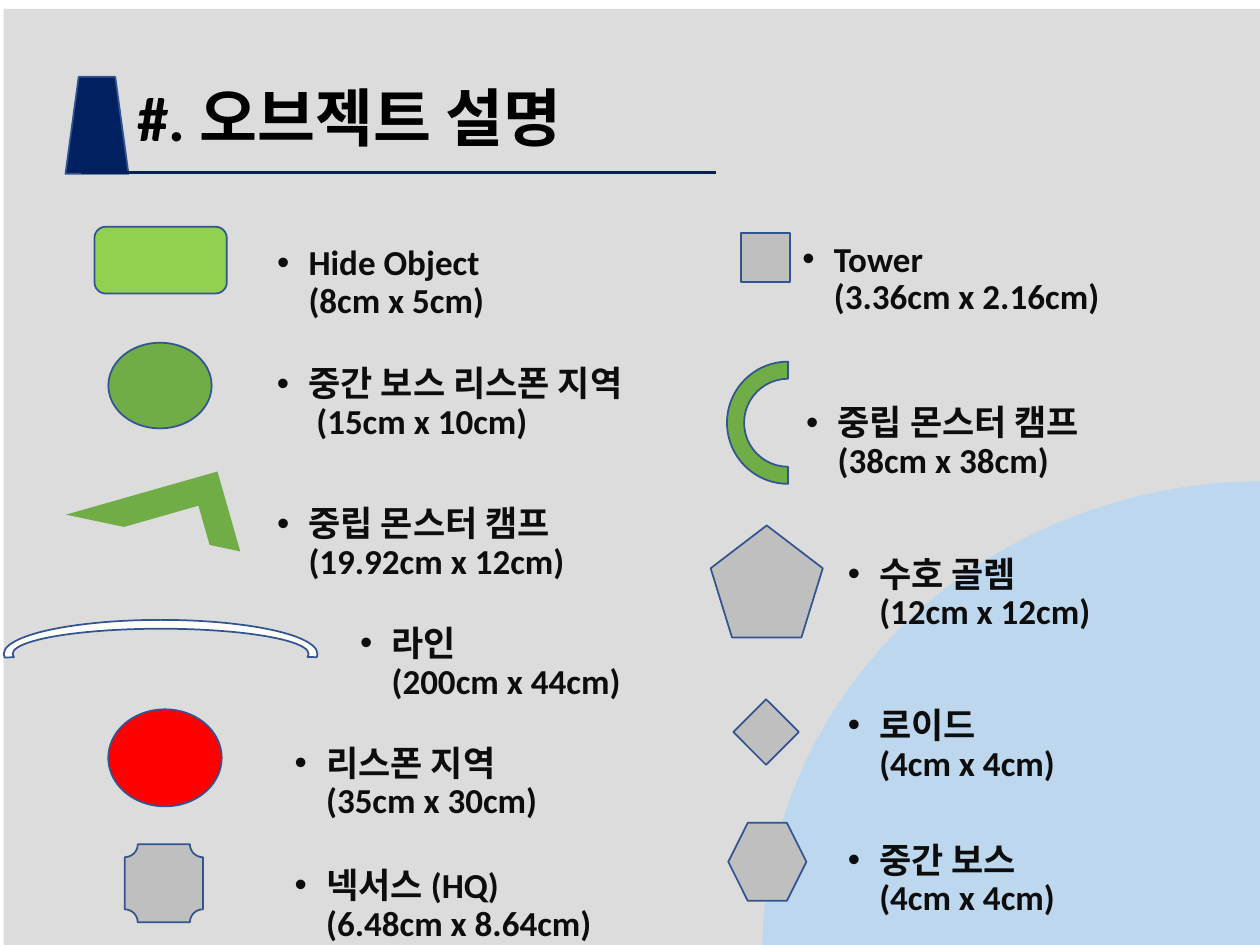
import pptx
import pptx.util
import pptx.dml.color
import pptx.enum.shapes
import pptx.oxml
import pptx.oxml.ns

Inches = pptx.util.Inches
Pt = pptx.util.Pt
Kind = pptx.enum.shapes.MSO_SHAPE
qn = pptx.oxml.ns.qn

theme = {
    "font": "Calibri", "title": 36, "body": 20,
    "black": "000000", "ink": "0D0D0D", "white": "FFFFFF", "back": "DCDCDC",
    "sky": "BDD7EE", "navy": "002060", "edge": "325491", "lime": "92D050",
    "green": "70AD47", "red": "FF0000", "gray": "BFBFBF",
}


def tint(name):
    return pptx.dml.color.RGBColor.from_string(theme[name])


def write(para, text, size, color):
    run = para.add_run()
    run.text = text
    run.font.name = theme["font"]
    run.font.size = Pt(theme[size])
    run.font.bold = True
    run.font.color.rgb = tint(color)


deck = pptx.Presentation()
deck.slide_width = Inches(10)
deck.slide_height = Inches(7.5)
slide = deck.slides.add_slide(deck.slide_layouts[6])
shapes = slide.shapes

marks = [
    (Kind.RECTANGLE, (0.03, 0.07, 10, 7.5), "back", None, 0, []),
    (Kind.PIE, (6.05, 3.82, 7.95, 7.5), "sky", None, 0, [107.83, 162]),
    (Kind.TRAPEZOID, (0.52, 0.61, 0.5, 0.77), "navy", "edge", 0, [0.21]),
    (Kind.ROUNDED_RECTANGLE, (0.75, 1.8, 1.05, 0.53), "lime", "edge", 0, []),
    (Kind.OVAL, (0.86, 2.72, 0.82, 0.68), "green", "edge", 0, []),
    (Kind.HALF_FRAME, (0.59, 3.9, 1.25, 0.66), "green", None, 164.1, []),
    (Kind.BLOCK_ARC, (0.03, 4.92, 2.49, 0.54), "white", "edge", 0, [107.21, 0.72, 0.13]),
    (Kind.OVAL, (0.86, 5.63, 0.9, 0.77), "red", "edge", 0, []),
    (Kind.PLAQUE, (0.99, 6.7, 0.62, 0.62), "gray", "edge", 0, []),
    (Kind.RECTANGLE, (5.88, 1.85, 0.39, 0.39), "gray", "edge", 0, []),
    (Kind.BLOCK_ARC, (5.77, 2.87, 0.97, 0.97), "green", "edge", 270, [108, 0, 0.14]),
    (Kind.REGULAR_PENTAGON, (5.64, 4.17, 0.89, 0.89), "gray", "edge", 0, []),
    (Kind.DIAMOND, (5.82, 5.55, 0.52, 0.52), "gray", "edge", 0, []),
    (Kind.HEXAGON, (5.78, 6.53, 0.62, 0.62), "gray", "edge", 0, []),
]
for kind, place, fill, edge, turn, bends in marks:
    mark = shapes.add_shape(kind, *map(Inches, place))
    mark.shadow.inherit = False
    mark.rotation = turn
    mark.fill.solid()
    mark.fill.fore_color.rgb = tint(fill)
    if edge:
        mark.line.color.rgb = tint(edge)
        mark.line.width = Pt(1)
    else:
        mark.line.fill.background()
    for spot, bend in enumerate(bends):
        mark.adjustments[spot] = bend
    if kind == Kind.HALF_FRAME:
        mark.element.spPr.find(qn("a:xfrm")).set("flipV", "1")

rule = shapes.add_connector(
    pptx.enum.shapes.MSO_CONNECTOR.STRAIGHT,
    Inches(0.64), Inches(1.37), Inches(5.68), Inches(1.37))
rule.line.color.rgb = tint("navy")
rule.line.width = Pt(2)
rule.element.spPr.append(pptx.oxml.parse_xml(
    '<a:effectLst xmlns:a="http://schemas.openxmlformats.org/drawingml/2006/main"/>'))

title = shapes.add_textbox(Inches(0.99), Inches(0.57), Inches(8.32), Inches(0.71))
title.text_frame.word_wrap = True
write(title.text_frame.paragraphs[0], "#. 오브젝트 설명", "title", "black")

notes = [
    (2.1, 1.9, 2.39, "Hide Object", "(8cm x 5cm)"),
    (2.1, 2.86, 3.27, "중간 보스 리스폰 지역", " (15cm x 10cm)"),
    (2.1, 3.97, 3.35, "중립 몬스터 캠프", "(19.92cm x 12cm)"),
    (2.76, 4.92, 2.61, "라인", "(200cm x 44cm)"),
    (2.24, 5.87, 2.61, "리스폰 지역", "(35cm x 30cm)"),
    (2.24, 6.84, 2.61, "넥서스 (HQ)", "(6.48cm x 8.64cm)"),
    (6.27, 1.87, 2.85, "Tower", "(3.36cm x 2.16cm)"),
    (6.3, 3.17, 2.61, "중립 몬스터 캠프", "(38cm x 38cm)"),
    (6.63, 4.37, 2.61, "수호 골렘", "(12cm x 12cm)"),
    (6.63, 5.57, 2.61, "로이드", "(4cm x 4cm)"),
    (6.63, 6.64, 2.61, "중간 보스", "(4cm x 4cm)"),
]
for left, top, width, name, size in notes:
    note = shapes.add_textbox(Inches(left), Inches(top), Inches(width), Inches(0.4))
    note.text_frame.word_wrap = True
    para = note.text_frame.paragraphs[0]
    para.line_spacing = 0.9
    para.space_before = Pt(10)
    props = para._p.get_or_add_pPr()
    props.set("marL", str(Inches(0.25)))
    props.set("indent", str(Inches(-0.25)))
    props.append(pptx.oxml.parse_xml(
        '<a:buFont xmlns:a="http://schemas.openxmlformats.org/drawingml/2006/main"'
        ' typeface="Arial"/>'))
    props.append(pptx.oxml.parse_xml(
        '<a:buChar xmlns:a="http://schemas.openxmlformats.org/drawingml/2006/main"'
        ' char="•"/>'))
    write(para, name, "body", "ink")
    para.add_line_break()
    write(para, size, "body", "ink")

deck.save("out.pptx")
